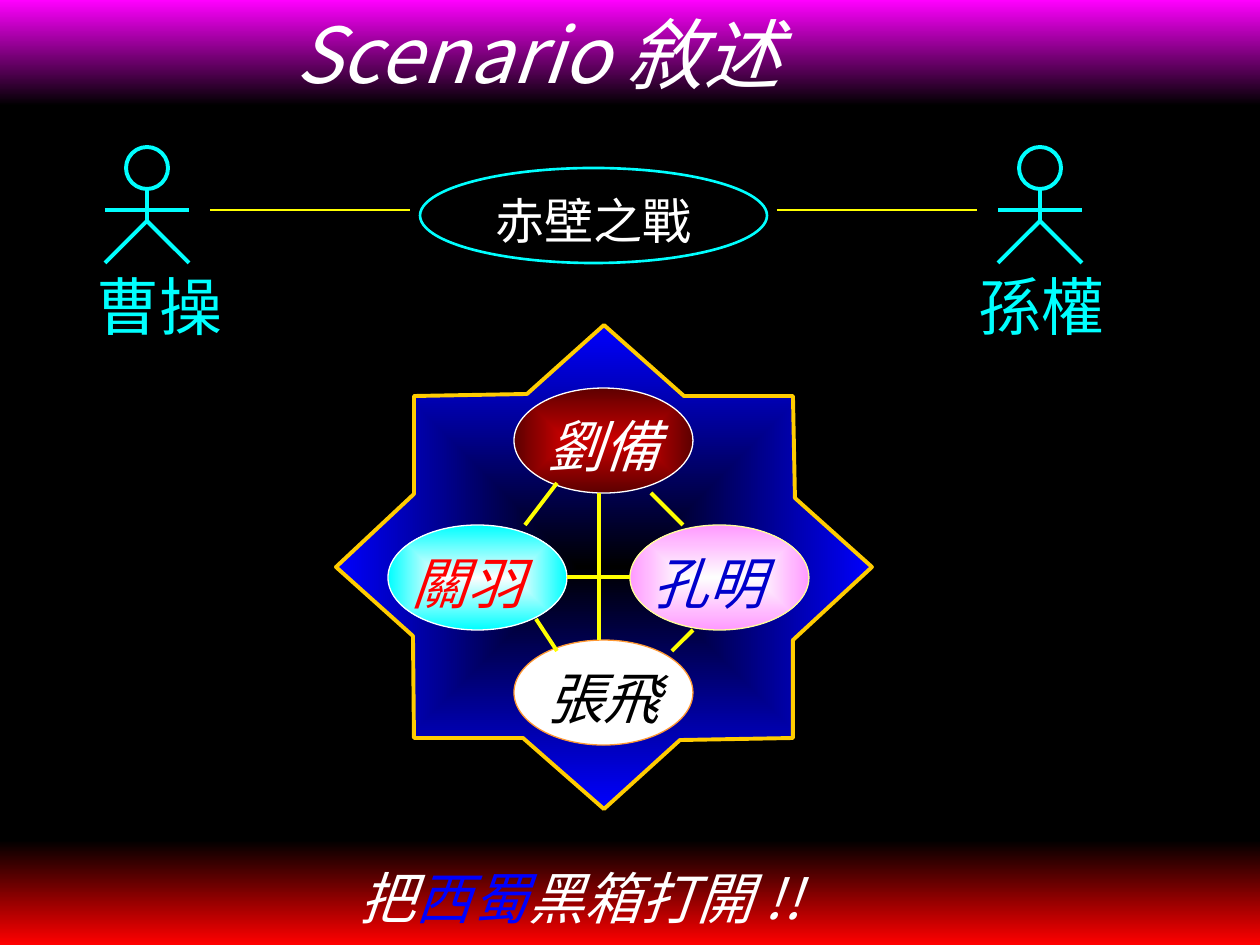
from dataclasses import dataclass
from typing import Optional

from lxml import etree
from pptx import Presentation
from pptx import util as u
from pptx.dml.color import RGBColor
from pptx.enum import shapes, text
from pptx.oxml.ns import qn

EMU_PER_PX = 914400 / 126
WIDTH, HEIGHT = 1260, 945

BLACK = RGBColor(0x00, 0x00, 0x00)
WHITE = RGBColor(0xFF, 0xFF, 0xFF)
NEAR_WHITE = RGBColor(0xFE, 0xFE, 0xFE)
MAGENTA = RGBColor(0xFF, 0x00, 0xFF)
RED = RGBColor(0xFF, 0x00, 0x00)
BLUE = RGBColor(0x00, 0x00, 0xFF)
NAVY = RGBColor(0x00, 0x00, 0xCC)
CYAN = RGBColor(0x00, 0xFF, 0xFF)
YELLOW = RGBColor(0xFF, 0xFF, 0x00)
PALE_YELLOW = RGBColor(0xFF, 0xFF, 0x99)
GOLD = RGBColor(0xFF, 0xCC, 0x00)
ORANGE = RGBColor(0xFF, 0x99, 0x33)
PINK = RGBColor(0xFF, 0x99, 0xFF)
CRIMSON = RGBColor(0xCC, 0x00, 0x00)
MAROON = RGBColor(0x5E, 0x00, 0x00)

BAND_FONT = "Noto Sans CJK SC"
LABEL_FONT = "Times New Roman"


@dataclass
class Actor:
    center: int
    name: str
    label_left: int
    label_width: int


@dataclass
class Hero:
    left: int
    top: int
    name: str
    color: RGBColor
    inner: RGBColor
    outer: RGBColor
    outline: RGBColor
    label_shift: int


ACTORS = [Actor(147, "曹操", 84, 189), Actor(1040, "孫權", 966, 158)]
ACTOR_LINKS = [(210, 210, 410, 210), (777, 210, 977, 210)]

HEROES = [
    Hero(514, 388, "劉備", WHITE, CRIMSON, MAROON, WHITE, 21),
    Hero(388, 525, "關羽", RED, NEAR_WHITE, CYAN, WHITE, 11),
    Hero(630, 525, "孔明", NAVY, NEAR_WHITE, PINK, PALE_YELLOW, 10),
    Hero(514, 640, "張飛", BLACK, WHITE, WHITE, ORANGE, 21),
]
HERO_LINKS = [
    (651, 493, 683, 525), (557, 483, 525, 525), (536, 619, 557, 651),
    (693, 630, 672, 651), (599, 493, 599, 640), (567, 577, 630, 577),
]
STAR = [
    (336, 567), (413, 636), (414, 738), (523, 738), (604, 809), (680, 740),
    (793, 738), (793, 640), (872, 567), (795, 498), (793, 396), (684, 396),
    (604, 325), (527, 394), (414, 396), (414, 494),
]


def px(value: int) -> u.Emu:
    return u.Emu(round(value * EMU_PER_PX))


def box(*values: int) -> list[u.Emu]:
    return [px(value) for value in values]


def set_gradient(shape, first: RGBColor, last: RGBColor, from_center: bool = False) -> None:
    """Fill downwards, or from the centre out to the edges."""
    shape.fill.gradient()
    for stop, color, position in zip(shape.fill.gradient_stops, (first, last), (0, 1)):
        stop.color.rgb = color
        stop.position = position
    if not from_center:
        shape.fill.gradient_angle = 270
        return
    linear = shape._element.spPr.find(qn("a:gradFill")).find(qn("a:lin"))
    path = etree.Element(qn("a:path"), {"path": "rect"})
    sides = {side: "50000" for side in "ltrb"}
    etree.SubElement(path, qn("a:fillToRect"), sides)
    linear.getparent().replace(linear, path)


def set_line(shape, color: RGBColor, points: float) -> None:
    shape.line.color.rgb = color
    shape.line.width = u.Pt(points)


def add_line(slide, ends: tuple[int, int, int, int], color: RGBColor, points: float) -> None:
    line = slide.shapes.add_connector(shapes.MSO_CONNECTOR.STRAIGHT, *box(*ends))
    set_line(line, color, points)
    etree.SubElement(line._element.spPr, qn("a:effectLst"))


def add_ellipse(slide, area: tuple[int, int, int, int], color: RGBColor, points: float):
    ellipse = slide.shapes.add_shape(shapes.MSO_SHAPE.OVAL, *box(*area))
    ellipse.shadow.inherit = False
    ellipse.fill.background()
    set_line(ellipse, color, points)
    return ellipse


def add_label(slide, area: tuple[int, int, int, int], words: str, size: int,
              color: RGBColor, spacing: float, italic: Optional[bool] = None) -> None:
    frame = slide.shapes.add_textbox(*box(*area)).text_frame
    frame.word_wrap = True
    paragraph = frame.paragraphs[0]
    paragraph.text = words
    paragraph.line_spacing = spacing
    font = paragraph.font
    font.name, font.size, font.italic = LABEL_FONT, u.Pt(size), italic
    font.color.rgb = color


def fill_band(shape, runs: list[tuple[str, RGBColor]], size: int, left: int, top: int) -> None:
    """Write the words of a band, starting at the left inset."""
    frame = shape.text_frame
    frame.word_wrap = True
    frame.auto_size = text.MSO_AUTO_SIZE.NONE
    frame.vertical_anchor = text.MSO_ANCHOR.MIDDLE
    frame.margin_left, frame.margin_top = px(left), px(top)
    frame.margin_right, frame.margin_bottom = px(12), px(6)
    paragraph = frame.paragraphs[0]
    paragraph.alignment = text.PP_ALIGN.LEFT
    font = paragraph.font
    font.name, font.size, font.italic = BAND_FONT, u.Pt(size), True
    for words, color in runs:
        run = paragraph.add_run()
        run.text = words
        run.font.color.rgb = color


def add_actor(slide, actor: Actor) -> None:
    x = actor.center
    add_ellipse(slide, (x - 21, 147, 42, 42), CYAN, 2.25)
    limbs = [(x - 42, 210, x + 42, 210), (x, 189, x, 221),
             (x, 221, x - 42, 263), (x, 221, x + 42, 263)]
    for limb in limbs:
        add_line(slide, limb, CYAN, 2.25)
    add_label(slide, (actor.label_left, 273, actor.label_width, 77), actor.name, 36, CYAN, 0.85)


def add_hero(slide, hero: Hero) -> None:
    ellipse = add_ellipse(slide, (hero.left, hero.top, 179, 105), hero.outline, 0.75)
    if hero.inner == hero.outer:
        ellipse.fill.solid()
        ellipse.fill.fore_color.rgb = hero.inner
    else:
        set_gradient(ellipse, hero.inner, hero.outer, from_center=True)
    area = (hero.left + hero.label_shift, hero.top + 11, 147, 87)
    add_label(slide, area, hero.name, 32, hero.color, 1.1, italic=True)


def main() -> None:
    presentation = Presentation()
    presentation.slide_width, presentation.slide_height = px(WIDTH), px(HEIGHT)
    slide = presentation.slides.add_slide(presentation.slide_layouts[5])
    slide.background.fill.solid()
    slide.background.fill.fore_color.rgb = BLACK

    # Title band
    title = slide.shapes.title
    title.left, title.top, title.width, title.height = box(0, 0, WIDTH, 106)
    set_gradient(title, MAGENTA, BLACK)
    fill_band(title, [("Scenario 敘述", WHITE)], 44, 295, 6)

    # Actors and the use case between them
    for actor in ACTORS:
        add_actor(slide, actor)
    add_label(slide, (483, 179, 273, 78), "赤壁之戰", 28, WHITE, 1.1)
    add_ellipse(slide, (420, 168, 347, 95), CYAN, 1.5)
    for link in ACTOR_LINKS:
        add_line(slide, link, YELLOW, 1.5)

    # Closing band
    band = slide.shapes.add_shape(shapes.MSO_SHAPE.RECTANGLE, *box(0, 840, WIDTH, 105))
    band.shadow.inherit = False
    band.line.fill.background()
    set_gradient(band, BLACK, RED)
    fill_band(band, [("把", WHITE), ("西蜀", BLUE), ("黑箱打開 !!", WHITE)], 32, 360, 16)

    # Star with the four heroes and their links
    builder = slide.shapes.build_freeform(*STAR[0], scale=EMU_PER_PX)
    builder.add_line_segments(STAR[1:], close=True)
    star = builder.convert_to_shape()
    star.shadow.inherit = False
    set_gradient(star, BLACK, BLUE, from_center=True)
    set_line(star, GOLD, 2.25)
    for hero in HEROES:
        add_hero(slide, hero)
    for link in HERO_LINKS:
        add_line(slide, link, YELLOW, 2.25)

    presentation.save("out.pptx")


if __name__ == "__main__":
    main()
